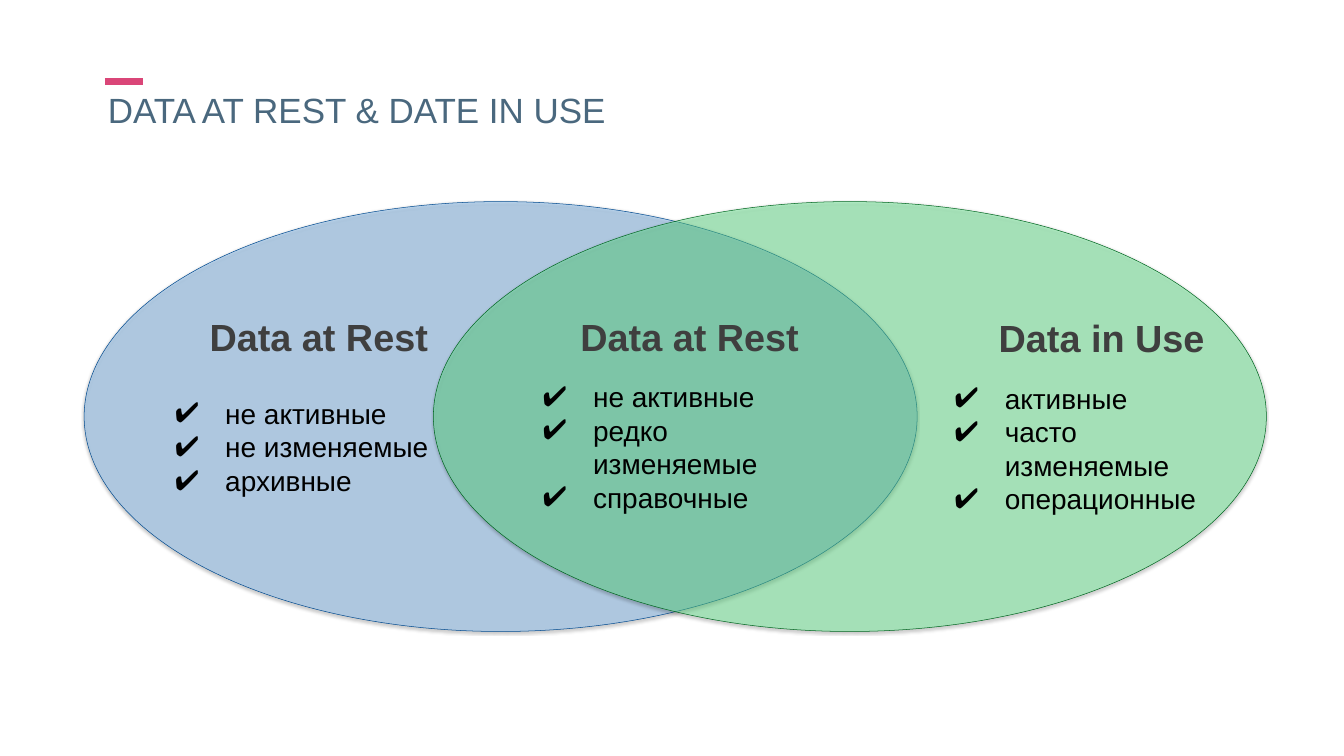
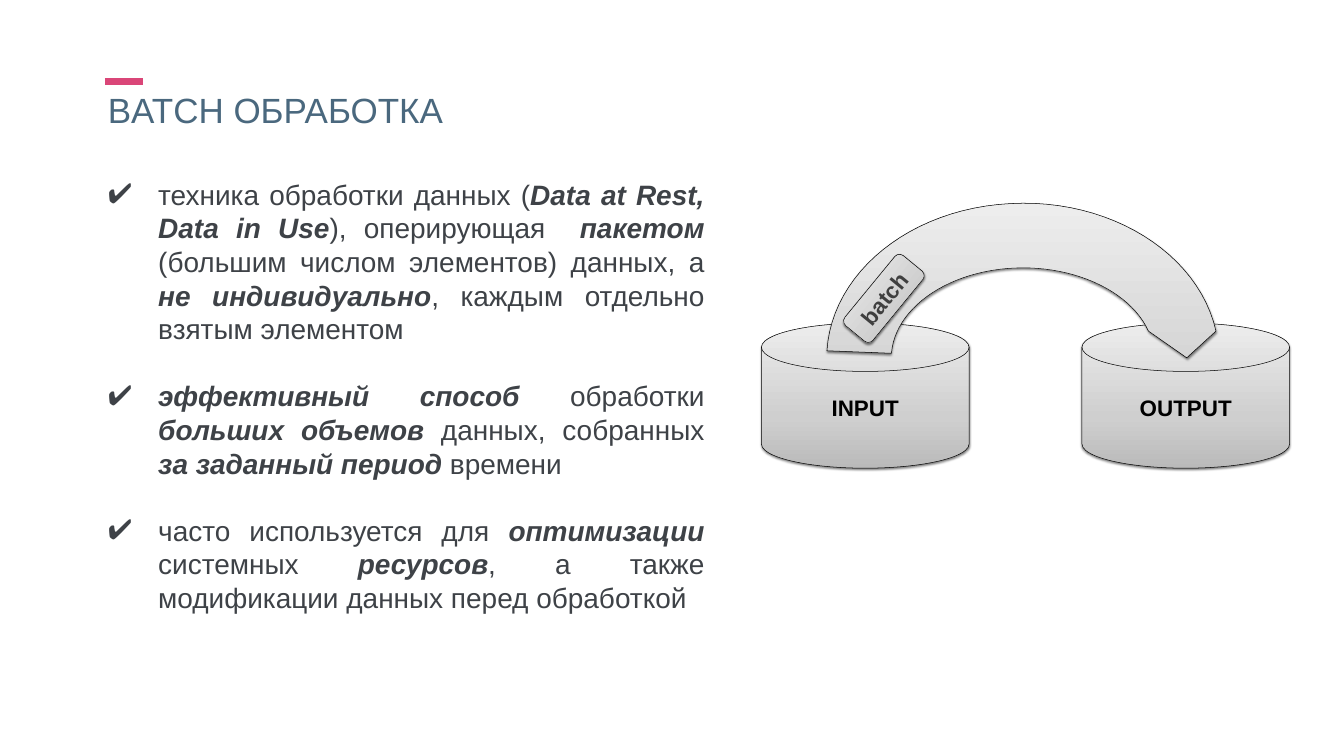
import lxml.etree
import pptx
import pptx.dml.color
import pptx.enum.shapes
import pptx.enum.text
import pptx.oxml.ns
import pptx.util

Inches = pptx.util.Inches
Pt = pptx.util.Pt
qn = pptx.oxml.ns.qn
SHAPES = pptx.enum.shapes.MSO_SHAPE
ALIGN = pptx.enum.text.PP_ALIGN
ANCHOR = pptx.enum.text.MSO_ANCHOR

FONT = "Arial"
SLATE, PINK, BLACK, GRAPHITE, CHARCOAL = "4A687E", "DA4678", "000000", "3F3F3F", "3E4247"
METAL = [(0, "BABABA"), (35, "CFCFCF"), (100, "EDEDED")]
ARROW_METAL = [(0, "D6D6D6"), (100, "EDEDED")]

VENN_TITLE = "DATA AT REST & DATE IN USE"
ELLIPSES = [(1.67, "81C1FD", "024B90"), (8.6, "69FE98", "006620")]
REGIONS = [
    ("Data at Rest", (4.08, 6.17, 4.49, 1.02), (3.41, 7.8, 5.82, 2.13),
     ["не активные", "не изменяемые", "архивные"]),
    ("Data at Rest", (11.44, 6.17, 4.49, 1.02), (10.71, 7.8, 5.96, 2.13),
     ["не активные", "редко изменяемые", "справочные"]),
    ("Data in Use", (19.74, 6.19, 4.24, 1.02), (18.88, 7.83, 5.96, 2.13),
     ["активные", "часто изменяемые", "операционные"]),
]

BATCH_TITLE = "BATCH ОБРАБОТКА"
BATCH_POINTS = [
    "техника обработки данных (*Data at Rest, Data in Use*), оперирующая  *пакетом*"
    " (большим числом элементов) данных, а *не индивидуально*, каждым отдельно взятым элементом",
    "*эффективный способ* обработки *больших объемов* данных, собранных"
    " *за заданный период* времени",
    "часто используется для *оптимизации* системных *ресурсов*,"
    " а также модификации данных перед обработкой",
]
STORES = [("INPUT", 15.11), ("OUTPUT", 21.47)]
ARROW_START = (16.41, 6.96)
OUTER_ARC = [((16.51, 5.4), (18.07, 4.14), (20.05, 4.04)),
             ((22.02, 3.93), (23.78, 5.02), (24.13, 6.57))]
ARROW_HEAD = [(23.55, 7.1), (22.79, 6.57)]
INNER_ARC = [((22.41, 5.74), (21.22, 5.22), (19.97, 5.33)),
             ((18.72, 5.44), (17.76, 6.15), (17.69, 7.01))]


def rgb(value):
    return pptx.dml.color.RGBColor.from_string(value)


def place(shape, area):
    shape.left, shape.top, shape.width, shape.height = map(Inches, area)


def set_frame(frame, anchor=ANCHOR.MIDDLE, wrap=True):
    frame.auto_size = pptx.enum.text.MSO_AUTO_SIZE.NONE
    frame.word_wrap = wrap
    frame.vertical_anchor = anchor
    frame.margin_left = frame.margin_right = Inches(0.06)
    frame.margin_top = frame.margin_bottom = Inches(0.06)


def style_span(span, size, color, bold=False, italic=False):
    span.font.name, span.font.size = FONT, Pt(size)
    span.font.bold, span.font.italic = bold, italic
    span.font.color.rgb = rgb(color)


def write_label(frame, text, size, color, bold=True, align=ALIGN.CENTER,
                anchor=ANCHOR.MIDDLE, wrap=True):
    set_frame(frame, anchor, wrap)
    frame.text = text
    para = frame.paragraphs[0]
    para.alignment = align
    style_span(para.runs[0], size, color, bold)
    return para


def add_check_mark(para, color):
    props = para._p.get_or_add_pPr()
    indent = Inches(1)
    props.set("marL", str(indent))
    props.set("indent", str(-indent))
    tint = lxml.etree.SubElement(props, qn("a:buClr"))
    lxml.etree.SubElement(tint, qn("a:srgbClr"), val=color)
    lxml.etree.SubElement(props, qn("a:buFont"), typeface=FONT)
    lxml.etree.SubElement(props, qn("a:buChar"), char="✔")


def write_list(frame, items, color, gap=0):
    set_frame(frame)
    for index, item in enumerate(items):
        para = frame.add_paragraph() if index else frame.paragraphs[0]
        add_check_mark(para, color)
        para.alignment = ALIGN.JUSTIFY
        para.line_spacing = Pt(48)
        para.space_before = Pt(gap if index else 0)
        for part, text in enumerate(item.split("*")):
            if text:
                span = para.add_run()
                span.text = text
                emphasis = part % 2 == 1
                style_span(span, 40, color, emphasis, emphasis)


def finish(shape, line):
    shape.line.color.rgb = rgb(line)
    shape.line.width = Pt(0.75)
    shape.shadow.inherit = False
    effects = shape.element.spPr.find(qn("a:effectLst"))
    shadow = lxml.etree.SubElement(effects, qn("a:outerShdw"), blurRad=str(Pt(3)),
                                   dist=str(Pt(2)), dir="5400000", rotWithShape="0")
    tint = lxml.etree.SubElement(shadow, qn("a:srgbClr"), val=BLACK)
    lxml.etree.SubElement(tint, qn("a:alpha"), val="50000")


def fill_metal(shape, stops=METAL):
    shape.fill.gradient()
    shape.fill.gradient_angle = 90
    stop_list = shape.element.spPr.find(qn("a:gradFill")).find(qn("a:gsLst"))
    for stop in list(stop_list):
        stop_list.remove(stop)
    for position, color in stops:
        stop = lxml.etree.SubElement(stop_list, qn("a:gs"), pos=str(position * 1000))
        lxml.etree.SubElement(stop, qn("a:srgbClr"), val=color)
    finish(shape, BLACK)


def fill_translucent(shape, color, line):
    shape.fill.solid()
    shape.fill.fore_color.rgb = rgb(color)
    tint = shape.element.spPr.find(qn("a:solidFill")).find(qn("a:srgbClr"))
    lxml.etree.SubElement(tint, qn("a:alpha"), val="40000")
    finish(shape, line)


def add_preset(page, kind, area):
    return page.shapes.add_shape(kind, *map(Inches, area))


def trace_curves(start, curves, steps=24):
    points = []
    for first, second, end in curves:
        for step in range(1, steps + 1):
            t = step / steps
            weights = ((1 - t) ** 3, 3 * t * (1 - t) ** 2, 3 * t * t * (1 - t), t ** 3)
            corners = (start, first, second, end)
            points.append(tuple(sum(w * c[axis] for w, c in zip(weights, corners))
                                for axis in (0, 1)))
        start = end
    return points


def add_page(deck, layout, title):
    page = deck.slides.add_slide(deck.slide_layouts[layout])
    place(page.shapes.title, (2.08, 1.85, 22.05, 0.79))
    para = write_label(page.shapes.title.text_frame, title, 50, SLATE, False,
                       ALIGN.LEFT, ANCHOR.TOP)
    para.line_spacing = 0.8
    accent = page.shapes.add_connector(pptx.enum.shapes.MSO_CONNECTOR.STRAIGHT,
                                       *map(Inches, (2.08, 1.62, 2.84, 1.62)))
    accent.line.color.rgb = rgb(PINK)
    accent.line.width = Pt(11)
    lxml.etree.SubElement(accent.element.spPr, qn("a:effectLst"))
    return page


def build_venn(deck):
    page = add_page(deck, 5, VENN_TITLE)
    for left, color, line in ELLIPSES:
        ellipse = add_preset(page, SHAPES.OVAL, (left, 4, 16.53, 8.53))
        fill_translucent(ellipse, color, line)
    for heading, heading_area, list_area, items in REGIONS:
        box = page.shapes.add_textbox(*map(Inches, heading_area))
        write_label(box.text_frame, heading, 54, GRAPHITE, wrap=False)
        box = page.shapes.add_textbox(*map(Inches, list_area))
        write_list(box.text_frame, items, BLACK)


def build_batch(deck):
    page = add_page(deck, 1, BATCH_TITLE)
    body = page.placeholders[1]
    place(body, (2.08, 3.42, 11.96, 8.86))
    write_list(body.text_frame, BATCH_POINTS, CHARCOAL, gap=48)

    for name, left in STORES:
        store = add_preset(page, SHAPES.FLOWCHART_MAGNETIC_DISK, (left, 6.41, 4.12, 2.88))
        fill_metal(store)
        write_label(store.text_frame, name, 32, BLACK)

    outline = trace_curves(ARROW_START, OUTER_ARC) + ARROW_HEAD
    outline += trace_curves(ARROW_HEAD[-1], INNER_ARC)
    builder = page.shapes.build_freeform(*map(Inches, ARROW_START))
    builder.add_line_segments([tuple(map(Inches, point)) for point in outline], close=True)
    fill_metal(builder.convert_to_shape(), ARROW_METAL)

    packet = add_preset(page, SHAPES.ROUNDED_RECTANGLE, (16.64, 5.56, 1.8, 0.72))
    packet.rotation = 309.4
    fill_metal(packet)
    write_label(packet.text_frame, "batch", 32, GRAPHITE)


def main():
    deck = pptx.Presentation()
    deck.slide_width, deck.slide_height = Inches(26.67), Inches(15)
    build_venn(deck)
    build_batch(deck)
    deck.save("out.pptx")


if __name__ == "__main__":
    main()
